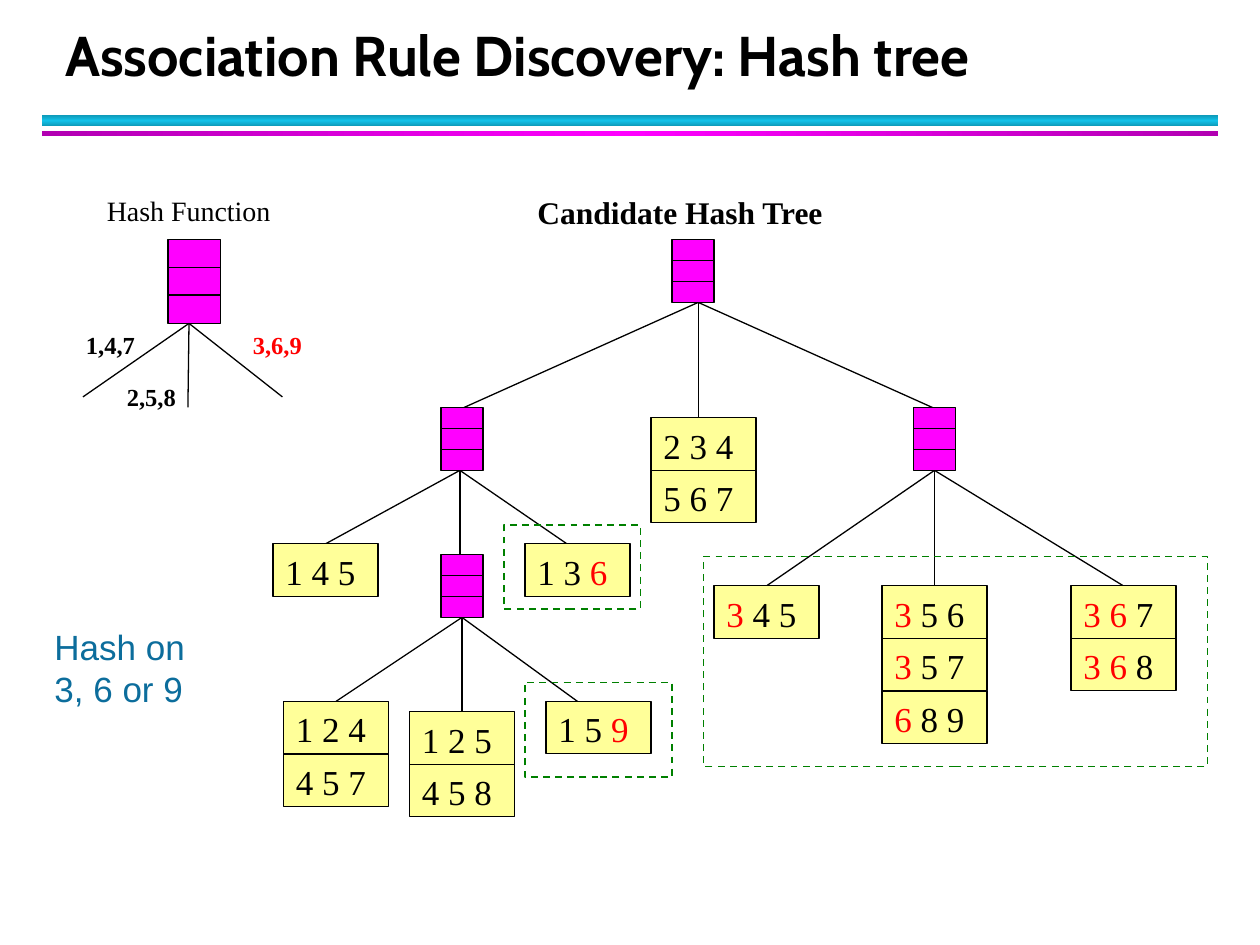
from copy import deepcopy
from dataclasses import dataclass

from lxml.etree import SubElement
from pptx import Presentation
from pptx.dml.color import RGBColor as RGB
from pptx.enum.dml import MSO_LINE as Dash
from pptx.enum.shapes import MSO_CONNECTOR as Connector, MSO_SHAPE as Shape
from pptx.enum.text import MSO_ANCHOR as Anchor, MSO_AUTO_SIZE as AutoSize, PP_ALIGN as Align
from pptx.oxml.ns import qn
from pptx.util import Pt

PX = 7620  # EMU per px: 120 px to the inch


@dataclass(frozen=True)
class Theme:
    black: RGB = RGB(0, 0, 0)
    red: RGB = RGB(255, 0, 0)
    node: RGB = RGB(255, 0, 255)
    leaf: RGB = RGB(255, 255, 153)
    frame: RGB = RGB(0, 128, 0)
    note: RGB = RGB(12, 109, 156)
    cyan: tuple = (RGB(14, 155, 186), RGB(18, 194, 233))
    magenta: tuple = (RGB(178, 0, 178), RGB(255, 0, 255))
    title_font: str = "Cabin"
    tree_font: str = "Times New Roman"
    note_font: str = "Arial"
    title_size: int = 32
    item_size: int = 20
    heading_size: int = 18
    label_size: int = 16
    key_size: int = 14
    thin: float = 0.75
    frame_width: float = 1


THEME = Theme()


def emu(*lengths):
    return [length * PX for length in lengths]


def set_font(para, size, name=THEME.tree_font, bold=False, color=THEME.black):
    font = para.font
    font.size, font.name, font.bold = Pt(size), name, bold
    font.color.rgb = color


def add_text(page, box, text, size, wrap=False, **style):
    frame = page.shapes.add_textbox(*emu(*box)).text_frame
    frame.word_wrap = wrap
    frame.auto_size = AutoSize.SHAPE_TO_FIT_TEXT
    para = frame.paragraphs[0]
    para.text = text
    set_font(para, size, **style)
    return para


def add_rect(page, box, fill=None, line=None, width=THEME.thin):
    rect = page.shapes.add_shape(Shape.RECTANGLE, *emu(*box))
    rect.shadow.inherit = False
    if fill is None:
        rect.fill.background()
    else:
        rect.fill.solid()
        rect.fill.fore_color.rgb = fill
    if line is None:
        rect.line.fill.background()
    else:
        rect.line.color.rgb = line
        rect.line.width = Pt(width)
    return rect


def add_line(page, start, end):
    line = page.shapes.add_connector(Connector.STRAIGHT, *emu(*start, *end))
    line.line.color.rgb = THEME.black
    line.line.width = Pt(THEME.thin)
    SubElement(line._element.spPr, qn("a:effectLst"))


def add_fan(page, start, ends):
    for end in ends:
        add_line(page, start, end)


def add_node(page, left, top, width=40, height=60):
    """Hash node: a box cut into three equal slots."""
    add_rect(page, (left, top, width, height), THEME.node, THEME.black)
    for slot in (1, 2):
        y = top + round(height * slot / 3)
        add_line(page, (left, y), (left + width, y))


def add_leaf(page, left, top, rows):
    """Stack of itemsets, each given as its black, red and black parts."""
    for index, parts in enumerate(rows):
        cell = add_rect(page, (left, top + 50 * index, 100, 50), THEME.leaf, THEME.black)
        frame = cell.text_frame
        frame.vertical_anchor = Anchor.TOP
        frame.word_wrap = False
        para = frame.paragraphs[0]
        para.alignment = Align.LEFT
        set_font(para, THEME.item_size)
        for text, color in zip(parts, (THEME.black, THEME.red, THEME.black)):
            if text:
                span = para.add_run()
                span.text = text
                span.font.color.rgb = color


def add_bar(page, box, colors, angle):
    """Rule whose colour runs from edge to middle and back."""
    edge, middle = colors
    fill = add_rect(page, box).fill
    fill.gradient()
    fill.gradient_angle = angle
    first = fill.gradient_stops[0]
    first.color.rgb, first.position = edge, 0
    last = fill.gradient_stops[1]
    last.color.rgb, last.position = edge, 1
    first._gs.addnext(deepcopy(first._gs))
    centre = fill.gradient_stops[1]
    centre.color.rgb, centre.position = middle, 0.5


def build_header(page, left, top):
    add_bar(page, (left, top + 90, 1120, 10), THEME.cyan, 90)
    add_bar(page, (left, top + 105, 1120, 5), THEME.magenta, 0)
    title = page.shapes.title
    title.left, title.top, title.width, title.height = emu(left + 10, top, 1087, 70)
    frame = title.text_frame
    frame.text = "Association Rule Discovery: Hash tree"
    frame.vertical_anchor = Anchor.BOTTOM
    frame.auto_size = AutoSize.NONE
    para = frame.paragraphs[0]
    para.alignment = Align.LEFT
    para.line_spacing = Pt(36)
    set_font(para, THEME.title_size, THEME.title_font, bold=True)


def build_tree(page, left, top):
    def at(x, y):
        return left + x, top + y

    # Branches: the start, then the three ends
    for start, *ends in (
        ((405, 110), (180, 211), (405, 220), (630, 211)),
        ((178, 270), (50, 340), (178, 350), (280, 340)),
        ((630, 270), (470, 380), (630, 380), (810, 380)),
        ((180, 410), (60, 490), (180, 500), (290, 490)),
    ):
        add_fan(page, at(*start), [at(*end) for end in ends])

    # Hash nodes
    for x, y in ((380, 50), (160, 210), (610, 210), (160, 350)):
        add_node(page, *at(x, y))

    # Leaves
    for x, y, *rows in (
        (0, 340, ("1 4 5",)),
        (240, 340, ("1 3 ", "6")),
        (360, 220, ("2 3 4",), ("5 6 7",)),
        (420, 380, ("", "3", " 4 5")),
        (580, 380, ("", "3", " 5 6"), ("", "3", " 5 7"), ("", "6", " 8 9")),
        (760, 380, ("", "3 6", " 7"), ("", "3 6", " 8")),
        (10, 490, ("1 2 4",), ("4 5 7",)),
        (130, 500, ("1 2 5",), ("4 5 8",)),
        (260, 490, ("1 5 ", "9")),
    ):
        add_leaf(page, *at(x, y), rows)

    # Heading, and frames around the leaves reached by 3, 6 or 9
    add_text(page, (*at(240, 0), 299, 48), "Candidate Hash Tree", THEME.heading_size, bold=True)
    for x, y, width, height in ((240, 472, 140, 90), (410, 352, 480, 200), (220, 322, 130, 80)):
        frame = add_rect(page, (*at(x, y), width, height), None, THEME.frame, THEME.frame_width)
        frame.line.dash_style = Dash.DASH


def build_hash_function(page, left, top):
    add_text(page, (left + 20, top, 180, 44), "Hash Function", THEME.label_size)
    add_node(page, left + 90, top + 50, 50, 80)
    ends = ((9, 200), (109, 210), (199, 200))
    add_fan(page, (left + 110, top + 130), [(left + x, top + y) for x, y in ends])
    for x, y, text, color in (
        (0, 130, "1,4,7", THEME.black),
        (39, 180, "2,5,8", THEME.black),
        (159, 130, "3,6,9", THEME.red),
    ):
        add_text(page, (left + x, top + y, 71, 41), text, THEME.key_size, bold=True, color=color)


def build_note(page, left, top):
    para = add_text(page, (left, top, 150, 92), "Hash on 3, 6 or 9", THEME.item_size,
                    wrap=True, name=THEME.note_font, color=THEME.note)
    para.space_before = Pt(12.5)


def main():
    deck = Presentation()
    deck.slide_width, deck.slide_height = emu(1200, 900)
    page = deck.slides.add_slide(deck.slide_layouts[5])
    build_header(page, 40, 20)
    build_tree(page, 260, 178)
    build_hash_function(page, 70, 178)
    build_note(page, 40, 590)
    deck.save("out.pptx")


if __name__ == "__main__":
    main()
